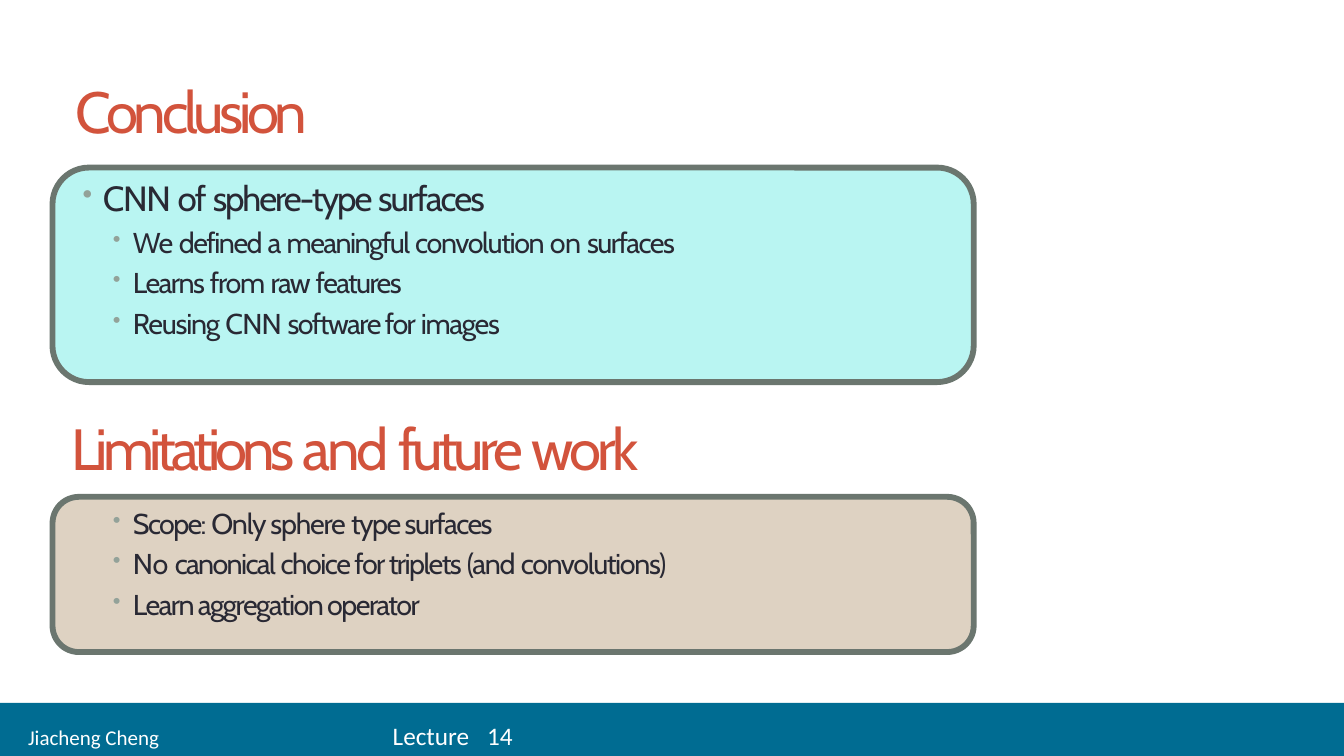
from lxml import etree
from pptx import Presentation
from pptx import util as u
from pptx.dml.color import RGBColor
from pptx.enum import shapes, text
from pptx.oxml import ns

Pt = u.Pt
RED = RGBColor(0xD2, 0x53, 0x3C)
INK = RGBColor(0x29, 0x29, 0x34)
WHITE = RGBColor(0xFF, 0xFF, 0xFF)
BLUE = RGBColor(0x00, 0x6C, 0x92)
AQUA = RGBColor(0xB9, 0xF5, 0xF2)
SAND = RGBColor(0xDE, 0xD2, 0xC2)
BORDER = RGBColor(0x6B, 0x76, 0x6F)
BULLET = RGBColor(0x93, 0xA2, 0x99)

HEADING = {"name": "Cabin", "size": Pt(41.5), "color": RED}
LEVELS = [
    {"indent": 19.5, "bullet": 82, "before": 4.8,
     "font": {"name": "Cabin", "size": Pt(25), "color": INK}},
    {"indent": 41, "bullet": 80, "before": 4.4,
     "font": {"name": "Cabin", "size": Pt(20.5), "color": INK}},
]

CONCLUSION = [
    (0, [("CNN ", -0.9), ("of ", -1.2), ("sphere-type ", -1.5), ("surfaces", -1.4)]),
    (1, [("We ", -0.7), ("defined ", -1.1), ("a ", -0.8), ("meaningful ", -1.1),
         ("convolution ", -1), ("on ", -0.4), ("surfaces", -1.1)]),
    (1, [("Learns ", -1.1), ("from ", -0.9), ("raw ", -1.1), ("features", -1.2)]),
    (1, [("Reusing ", -0.9), ("CNN ", -0.6), ("software for ", -1.1), ("images", -1)]),
]
LIMITATIONS = [
    (1, [("Scope: ", -1.2), ("Only sphere ", -0.9), ("type surfaces", -1.1)]),
    (1, [("No ", -0.1), ("canonical ", -1.2), ("choice for triplets ", -1.1),
         ("(and ", -0.9), ("convolutions)", -1)]),
    (1, [("Learn aggregation operator", -1.1)]),
]


def add_child(parent, tag, **attrs):
    child = etree.SubElement(parent, ns.qn(tag))
    for key, value in attrs.items():
        child.set(key, str(value))
    return child


def add_run(p, words, fmt, spacing=0):
    r = p.add_run()
    r.text = words
    for key, value in fmt.items():
        if key == "color":
            r.font.color.rgb = value
        else:
            setattr(r.font, key, value)
    if spacing:
        r.font._element.set("spc", str(round(spacing * 100)))


def set_frame(tf, left=0, top=0, anchor=text.MSO_ANCHOR.TOP):
    fmt = {"word_wrap": True, "margin_left": Pt(left), "margin_top": Pt(top),
           "margin_right": 0, "margin_bottom": 0, "vertical_anchor": anchor}
    for key, value in fmt.items():
        setattr(tf, key, value)


def add_block(s, kind, box, fill):
    sp = s.shapes.add_shape(kind, *map(Pt, box))
    sp.shadow.inherit = False
    sp.fill.solid()
    sp.fill.fore_color.rgb = fill
    sp.line.fill.background()
    return sp


def add_heading(s, box, runs):
    tf = s.shapes.add_textbox(*map(Pt, box)).text_frame
    set_frame(tf, top=1.5)
    for words, spacing in runs:
        add_run(tf.paragraphs[0], words, HEADING, spacing)


def add_bullets(s, box, items):
    tf = s.shapes.add_textbox(*map(Pt, box)).text_frame
    set_frame(tf, top=5)
    for i, (level, runs) in enumerate(items):
        p = tf.add_paragraph() if i else tf.paragraphs[0]
        style = LEVELS[level]
        p.level = level
        if i:
            p.space_before = Pt(style["before"])
        pPr = p._p.get_or_add_pPr()
        pPr.set("marL", str(Pt(style["indent"])))
        pPr.set("indent", str(-Pt(14.4)))
        add_child(add_child(pPr, "a:buClr"), "a:srgbClr", val=BULLET)
        add_child(pPr, "a:buSzPct", val=style["bullet"] * 1000)
        add_child(pPr, "a:buChar", char="•")
        for words, spacing in runs:
            add_run(p, words, style["font"], spacing)


def add_panel(s, box, fill, items):
    left, top, width, height = box
    sp = add_block(s, shapes.MSO_SHAPE.ROUNDED_RECTANGLE, box, fill)
    sp.adjustments[0] = 0.17
    sp.line.color.rgb = BORDER
    sp.line.width = Pt(4.17)
    add_bullets(s, (left + 16.5, top + 1.2, width - 33, height - 8), items)


def add_footer(s, box):
    sp = add_block(s, shapes.MSO_SHAPE.RECTANGLE, box, BLUE)
    tf = sp.text_frame
    set_frame(tf, left=20, anchor=text.MSO_ANCHOR.MIDDLE)
    p = tf.paragraphs[0]
    p.alignment = text.PP_ALIGN.LEFT
    p.line_spacing = Pt(30)
    tabs = add_child(p._p.get_or_add_pPr(), "a:tabLst")
    for stop in (260.5, 328):
        add_child(tabs, "a:tab", pos=Pt(stop), algn="l")
    for words, size in (("Jiacheng Cheng", 15), ("\tLecture\t14", 18)):
        add_run(p, words, {"name": "Calibri", "size": Pt(size), "color": WHITE})


def main():
    prs = Presentation()
    prs.slide_width, prs.slide_height = Pt(960), Pt(540)
    s = prs.slides.add_slide(prs.slide_layouts[6])
    add_footer(s, (0, 502, 960, 38))
    add_heading(s, (54, 52.6, 240, 52), [("Conclusion", -3.1)])
    add_panel(s, (37.5, 119.7, 658, 153.2), AQUA, CONCLUSION)
    add_heading(s, (51, 293.3, 460, 52),
                [("Limitations ", -3.5), ("and ", -2.5), ("future ", -3.2), ("work", -2.8)])
    add_panel(s, (37.5, 354.9, 658, 110.9), SAND, LIMITATIONS)
    prs.save("out.pptx")


if __name__ == "__main__":
    main()
